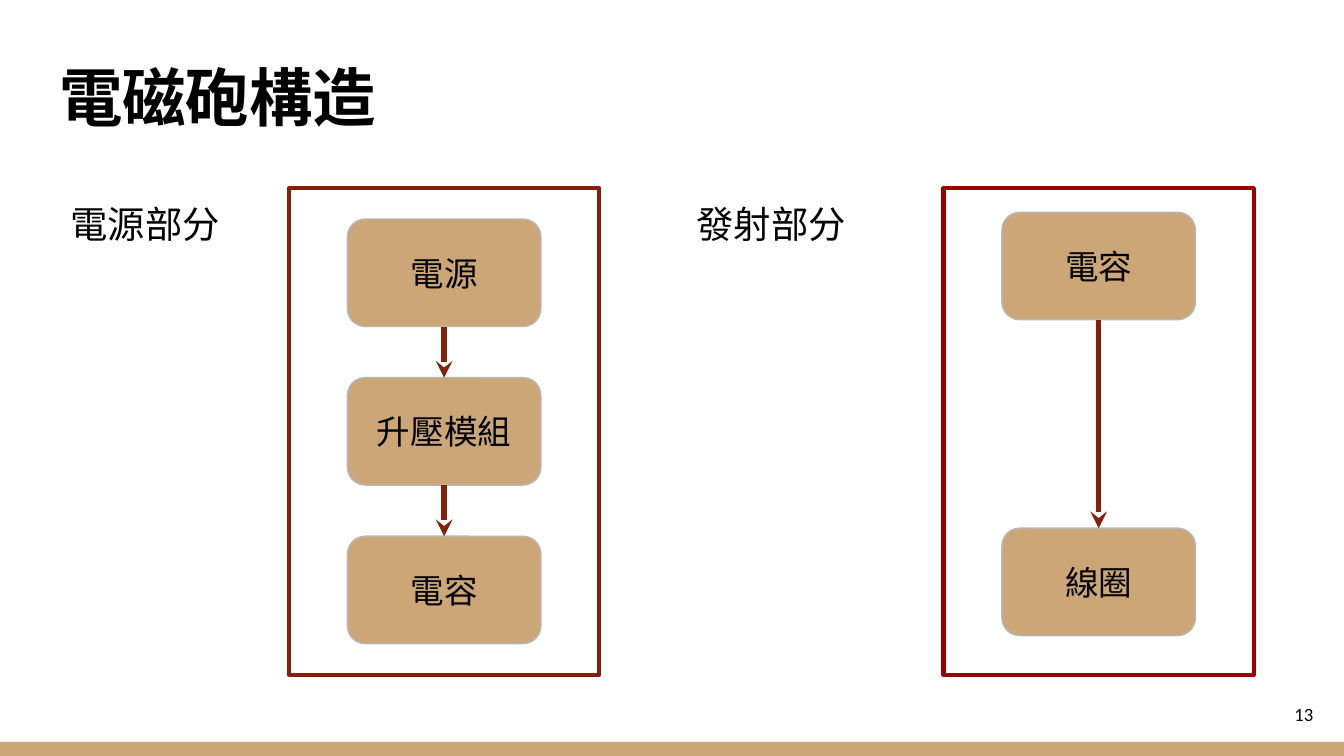
from itertools import pairwise

from lxml import etree
from pptx import Presentation
from pptx.dml.color import RGBColor
from pptx.enum.shapes import MSO_CONNECTOR, MSO_SHAPE as Shape
from pptx.enum.text import MSO_ANCHOR as Anchor, MSO_AUTO_SIZE as AutoSize, PP_ALIGN as Align
from pptx.oxml.ns import qn
from pptx.util import Inches, Pt

TAN, BROWN, RED, GRAY, BLACK = "CCA677", "85200C", "990000", "B7B7B7", "000000"
STEP_WIDTH, STEP_HEIGHT = 1.44, 0.8


def color(value):
    return RGBColor.from_string(value)


def write(shape, text, size, font, align, anchor, bold=False):
    frame = shape.text_frame
    frame.word_wrap = True
    frame.auto_size = AutoSize.NONE
    frame.vertical_anchor = anchor
    frame.margin_left = frame.margin_right = Inches(0.1)
    frame.margin_top = frame.margin_bottom = Inches(0.1)
    frame.text = text
    para = frame.paragraphs[0]
    para.alignment = align
    span = para.runs[0]
    span.font.size = Pt(size)
    span.font.name = font
    span.font.bold = bold
    span.font.color.rgb = color(BLACK)


def add_box(page, kind, left, top, width, height, fill=None, line=None, weight=0.75):
    box = page.shapes.add_shape(kind, Inches(left), Inches(top), Inches(width), Inches(height))
    box.shadow.inherit = False
    if fill:
        box.fill.solid()
        box.fill.fore_color.rgb = color(fill)
    else:
        box.fill.background()
    if line:
        box.line.color.rgb = color(line)
        box.line.width = Pt(weight)
    else:
        box.line.fill.background()
    return box


def add_text(page, text, left, top, width, height, *style):
    box = page.shapes.add_textbox(Inches(left), Inches(top), Inches(width), Inches(height))
    write(box, text, *style)


def add_arrow(page, x, start, end):
    arrow = page.shapes.add_connector(
        MSO_CONNECTOR.STRAIGHT, Inches(x), Inches(start), Inches(x), Inches(end))
    arrow.line.color.rgb = color(BROWN)
    arrow.line.width = Pt(3)
    etree.SubElement(arrow.line._get_or_add_ln(), qn("a:tailEnd"), type="stealth")
    etree.SubElement(arrow._element.spPr, qn("a:effectLst"))


def add_flow(page, left, top, width, height, outline, steps, first, pitch):
    """Framed column of steps; first is the offset of the top step, pitch the step spacing."""
    add_box(page, Shape.RECTANGLE, left, top, width, height, line=outline, weight=2.25)
    step_left = left + (width - STEP_WIDTH) / 2
    tops = [top + first + index * pitch for index in range(len(steps))]
    for text, step_top in zip(steps, tops):
        step = add_box(page, Shape.ROUNDED_RECTANGLE, step_left, step_top,
                       STEP_WIDTH, STEP_HEIGHT, TAN, GRAY)
        write(step, text, 18, "Arial", Align.CENTER, Anchor.MIDDLE)
    for upper, lower in pairwise(tops):
        add_arrow(page, left + width / 2, upper + STEP_HEIGHT, lower)


def add_title(page, text, left, top, width, height):
    title = page.shapes.title
    title.left, title.top = Inches(left), Inches(top)
    title.width, title.height = Inches(width), Inches(height)
    write(title, text, 34, "Calibri", Align.LEFT, Anchor.BOTTOM, True)


def main():
    deck = Presentation()
    deck.slide_width, deck.slide_height = Inches(10), Inches(10 * 9 / 16)
    page = deck.slides.add_slide(deck.slide_layouts.get_by_name("Title Only"))
    add_box(page, Shape.RECTANGLE, 0, 5.52, 10, 0.11, TAN)
    add_title(page, "電磁砲構造", 0.34, 0.19, 9.32, 0.91)
    add_flow(page, 2.15, 1.4, 2.31, 3.62, BROWN, ["電源", "升壓模組", "電容"], 0.23, 1.18)
    add_flow(page, 7.02, 1.4, 2.31, 3.62, RED, ["電容", "線圈"], 0.18, 2.35)
    for text, left in [("電源部分", 0), ("發射部分", 4.66)]:
        add_text(page, text, left, 1.4, 2.16, 0.54, 20, "Open Sans", Align.CENTER, Anchor.TOP)
    add_text(page, "13", 9.27, 5.1, 0.6, 0.43, 10, "Calibri", Align.RIGHT, Anchor.MIDDLE)
    deck.save("out.pptx")


if __name__ == "__main__":
    main()
